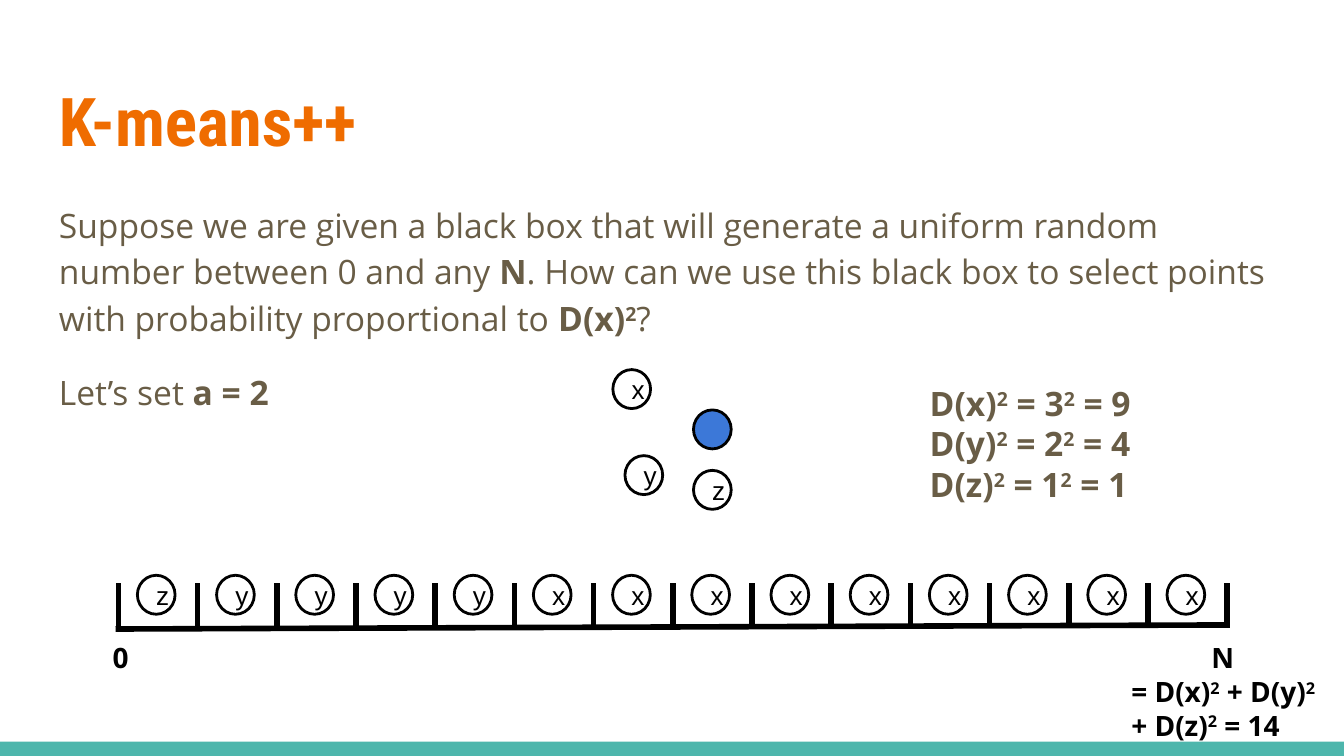
from lxml import etree
from pptx import Presentation
from pptx.dml.color import RGBColor
from pptx.enum import shapes, text
from pptx.oxml import ns
from pptx.util import Pt

THEME = {
    "bar": "4DB6AC", "title": "EF6C00", "body": "695D46", "ink": "000000", "seed": "3C78D8",
    "head": "Roboto Condensed", "main": "Open Sans", "mark": "Arial",
    "big": 36, "mid": 18, "small": 15, "tiny": 14, "thin": 1.5, "thick": 3,
}

LEFT, MID = text.PP_ALIGN.LEFT, text.PP_ALIGN.CENTER
PROSE = ("main", "mid", "body")
LABEL = ("main", "small", "ink")

# "*" toggles bold, "^" raises the next character
BLOCKS = [
    ((24.5, 35.3, 671, 55.4), ("head", "big", "title"), ["*K-means++*"], LEFT),
    ((24.5, 99.4, 671, 83.5), PROSE, [
        "Suppose we are given a black box that will generate a uniform random number "
        "between 0 and any *N*. How can we use this black box to select points with "
        "probability proportional to *D(x)^2*?"], LEFT),
    ((491, 198, 143.3, 77.8), PROSE, [
        "*D(x)^2 = 3^2 = 9*", "*D(y)^2 = 2^2 = 4*", "*D(z)^2 = 1^2 = 1*"], LEFT),
    ((24.5, 192.2, 178.6, 33.8), PROSE, ["Let’s set *a = 2*"], LEFT),
    ((53.3, 336.2, 20.2, 20.9), LABEL, ["*0*"], LEFT),
    ((599, 336.2, 115.9, 49.7), LABEL, [
        "*N *", "*= D(x)^2 + D(y)^2 + D(z)^2 = 14*"], MID),
]
POINTS = [("x", 328.3, 198), ("", 371.5, 219.6), ("y", 334.8, 244.1), ("z", 371.5, 252)]
SLOTS = "z" + "y" * 4 + "x" * 9
START, END, TOP, BASE = 63.4, 657.4, 312.5, 336.2
INSET, ROW = 10.2, 308.2
WIDE, HIGH = 20.2, 20.9


def tint(name):
    return RGBColor.from_string(THEME[name])


def style(run, font, size, color):
    run.font.name = THEME[font]
    run.font.size = Pt(THEME[size])
    run.font.color.rgb = tint(color)


def write(para, line, look):
    for i, part in enumerate(line.split("*")):
        for j, bit in enumerate(part.split("^")):
            pieces = [(bit[:1], True), (bit[1:], False)] if j else [(bit, False)]
            for word, raised in pieces:
                if not word:
                    continue
                run = para.add_run()
                run.text = word
                style(run, *look)
                run.font.bold = i % 2 == 1
                if raised:
                    run.font._element.set("baseline", "30000")


def pad(frame):
    frame.word_wrap = True
    frame.margin_left = frame.margin_right = Pt(7.2)
    frame.margin_top = frame.margin_bottom = Pt(7.2)


def block(slide, box, look, lines, align):
    frame = slide.shapes.add_textbox(*map(Pt, box)).text_frame
    pad(frame)
    for i, line in enumerate(lines):
        para = frame.add_paragraph() if i else frame.paragraphs[0]
        para.alignment = LEFT if i else align
        if len(line) > 100:
            para.line_spacing = 1.15
            para.space_after = Pt(16)
        write(para, line, look)


def mark(slide, name, x, y):
    dot = slide.shapes.add_shape(shapes.MSO_SHAPE.OVAL, Pt(x), Pt(y), Pt(WIDE), Pt(HIGH))
    dot.shadow.inherit = False
    dot.line.color.rgb = tint("ink")
    dot.line.width = Pt(THEME["thin"])
    if not name:
        dot.fill.solid()
        dot.fill.fore_color.rgb = tint("seed")
        return
    dot.fill.background()
    frame = dot.text_frame
    pad(frame)
    frame.vertical_anchor = text.MSO_ANCHOR.MIDDLE
    frame.text = name
    frame.paragraphs[0].alignment = LEFT
    style(frame.paragraphs[0].runs[0], "mark", "tiny", "ink")


def rule(slide, *ends):
    line = slide.shapes.add_connector(shapes.MSO_CONNECTOR.STRAIGHT, *map(Pt, ends))
    line.line.color.rgb = tint("ink")
    line.line.width = Pt(THEME["thick"])
    etree.SubElement(line._element.spPr, ns.qn("a:effectLst"))


def main():
    deck = Presentation()
    deck.slide_width, deck.slide_height = Pt(720), Pt(405)
    slide = deck.slides.add_slide(deck.slide_layouts[6])

    bar = slide.shapes.add_shape(
        shapes.MSO_SHAPE.RECTANGLE, 0, Pt(397.4), Pt(720), Pt(7.6))
    bar.shadow.inherit = False
    bar.fill.solid()
    bar.fill.fore_color.rgb = tint("bar")
    bar.line.fill.background()

    for item in BLOCKS:
        block(slide, *item)
    for item in POINTS:
        mark(slide, *item)

    rule(slide, START - 1.5, BASE + 0.8, END + 0.8, BASE - 1.4)
    step = (END - START) / len(SLOTS)
    for i in range(len(SLOTS) + 1):
        x = START + i * step
        rule(slide, x, BASE, x, TOP)
    for i, name in enumerate(SLOTS):
        mark(slide, name, START + i * step + INSET, ROW)

    deck.save("out.pptx")


if __name__ == "__main__":
    main()
